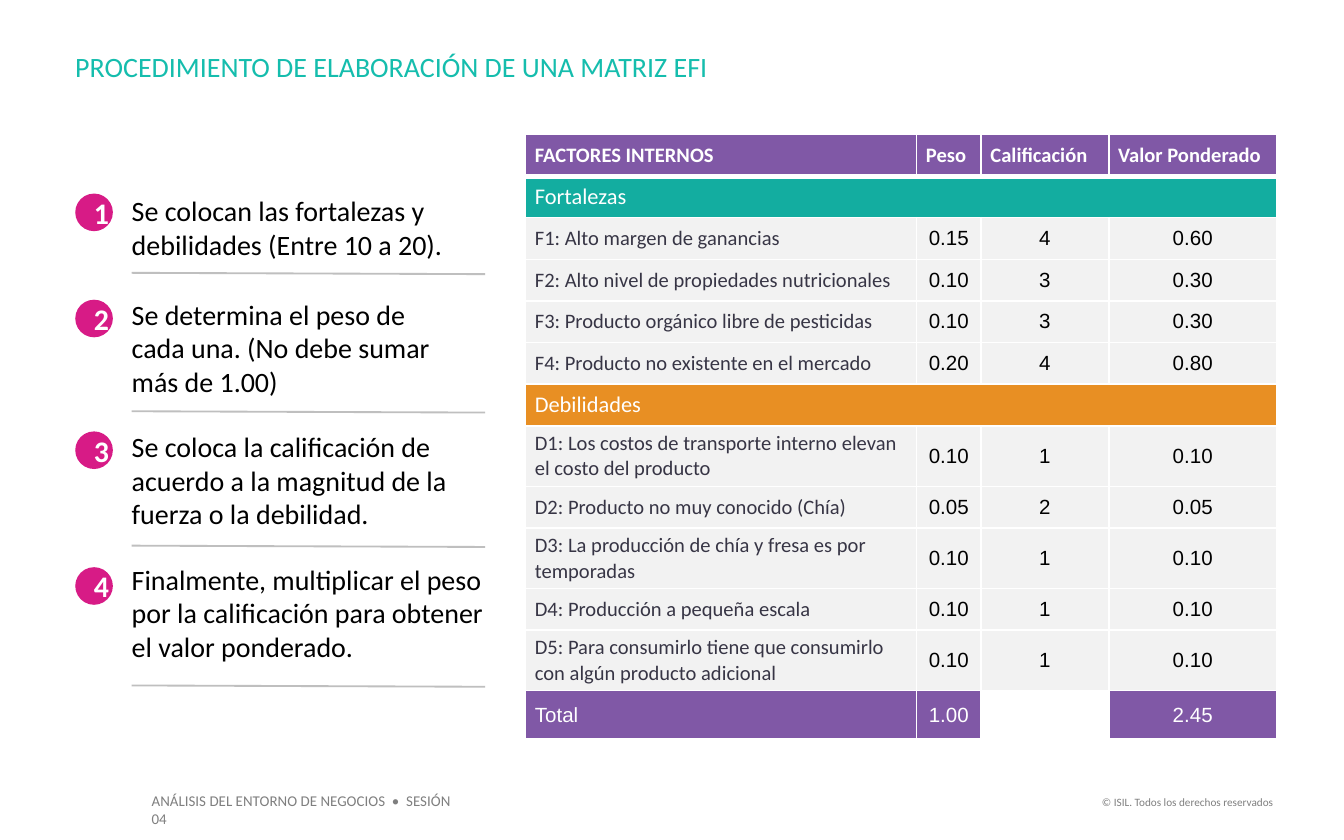
from dataclasses import dataclass
from typing import Any

from lxml.etree import SubElement
from pptx import Presentation
from pptx.dml.color import RGBColor
from pptx.enum.shapes import MSO_CONNECTOR, MSO_SHAPE
from pptx.enum.text import MSO_ANCHOR, MSO_AUTO_SIZE, PP_ALIGN
from pptx.oxml.ns import qn
from pptx.slide import Slide
from pptx.table import _Cell
from pptx.text.text import TextFrame
from pptx.util import Emu, Pt

EMU_PER_PX = 9144  # 100 px to the inch

WHITE, BLACK, SLATE = "FFFFFF", "000000", "373545"
PURPLE, TEAL, ORANGE, PALE = "8058A6", "13ADA0", "E88F23", "F2F2F2"
PINK, RULE_GREY, FOOTER_GREY, TITLE_TEAL = "D71B86", "BFBFBF", "7F7F7F", "15BDAD"


@dataclass(frozen=True)
class Step:
    text: str
    badge_top: int
    rule_top: int
    space_before: float


@dataclass(frozen=True)
class Footer:
    text: str
    box: tuple[int, int, int, int]
    size: int
    align: PP_ALIGN


@dataclass(frozen=True)
class MatrixRow:
    texts: tuple[str, ...]
    fill: str = PALE
    height: int = 31
    merged: bool = False


STEPS = [
    Step("Se colocan las fortalezas y debilidades (Entre 10 a 20).", 144, 203, 0),
    Step("Se determina el peso de\vcada una. (No debe sumar\vmás de 1.00)", 223, 306, 19.5),
    Step("Se coloca la calificación de acuerdo a la magnitud de la fuerza o la debilidad.",
         321, 406, 17),
    Step("Finalmente, multiplicar el peso por la calificación para obtener el valor ponderado.",
         422, 510, 17),
]

FOOTERS = [
    Footer("ANÁLISIS DEL ENTORNO DE NEGOCIOS  •  SESIÓN 04", (103, 584, 256, 24), 8, PP_ALIGN.LEFT),
    Footer("© ISIL. Todos los derechos reservados", (805, 587, 152, 20), 6, PP_ALIGN.RIGHT),
]

COLUMN_WIDTHS = [291, 48, 95, 125]
MATRIX = [
    MatrixRow(("FACTORES INTERNOS", "Peso", "Calificación", "Valor Ponderado"), PURPLE),
    MatrixRow(("Fortalezas",), TEAL, merged=True),
    MatrixRow(("F1: Alto margen de ganancias", "0.15", "4", "0.60")),
    MatrixRow(("F2: Alto nivel de propiedades nutricionales", "0.10", "3", "0.30")),
    MatrixRow(("F3: Producto orgánico libre de pesticidas", "0.10", "3", "0.30")),
    MatrixRow(("F4: Producto no existente en el mercado", "0.20", "4", "0.80")),
    MatrixRow(("Debilidades",), ORANGE, merged=True),
    MatrixRow(("D1: Los costos de transporte interno elevan el costo del producto",
               "0.10", "1", "0.10"), height=45),
    MatrixRow(("D2: Producto no muy conocido (Chía)", "0.05", "2", "0.05")),
    MatrixRow(("D3: La producción de chía y fresa es por temporadas",
               "0.10", "1", "0.10"), height=45),
    MatrixRow(("D4: Producción a pequeña escala", "0.10", "1", "0.10")),
    MatrixRow(("D5: Para consumirlo tiene que consumirlo\vcon algún producto adicional",
               "0.10", "1", "0.10"), height=45),
    MatrixRow(("Total", "1.00", "", "2.45"), PURPLE, height=36),
]


def px(length: int) -> Emu:
    return Emu(length * EMU_PER_PX)


def rgb(color: str) -> RGBColor:
    return RGBColor.from_string(color)


def assign(target: Any, values: dict[str, Any]) -> None:
    for attribute, value in values.items():
        setattr(target, attribute, value)


def write(frame: TextFrame, text: str, size: int, color: str,
          align: PP_ALIGN = PP_ALIGN.LEFT, name: str = "Calibri", bold: bool = False) -> None:
    """Fill the frame with one paragraph per line of text, all in one format."""
    frame.text = text
    for paragraph in frame.paragraphs:
        paragraph.alignment = align
        for run in paragraph.runs:
            assign(run.font, {"size": Pt(size), "name": name, "bold": bold})
            run.font.color.rgb = rgb(color)


def fit_placeholder(placeholder: Any, box: tuple[int, int, int, int]) -> TextFrame:
    """Move a placeholder and strip its insets and autofit."""
    left, top, width, height = map(px, box)
    assign(placeholder, {"left": left, "top": top, "width": width, "height": height})
    frame = placeholder.text_frame
    assign(frame, {"margin_left": 0, "margin_right": 0, "margin_top": 0, "margin_bottom": 0,
                   "word_wrap": True, "auto_size": MSO_AUTO_SIZE.NONE,
                   "vertical_anchor": MSO_ANCHOR.TOP})
    return frame


def add_footer(slide: Slide, footer: Footer) -> None:
    frame = slide.shapes.add_textbox(*map(px, footer.box)).text_frame
    frame.word_wrap = True
    write(frame, footer.text, footer.size, FOOTER_GREY, footer.align)


def add_badge(slide: Slide, number: int, top: int) -> None:
    badge = slide.shapes.add_shape(MSO_SHAPE.OVAL, px(56), px(top), px(28), px(28))
    badge.shadow.inherit = False
    badge.fill.solid()
    badge.fill.fore_color.rgb = rgb(PINK)
    badge.line.fill.background()
    write(badge.text_frame, str(number), 16, WHITE, PP_ALIGN.CENTER, bold=True)


def add_rule(slide: Slide, top: int) -> None:
    rule = slide.shapes.add_connector(MSO_CONNECTOR.STRAIGHT, px(98), px(top), px(361), px(top + 1))
    rule.line.width = Pt(1)
    rule.line.color.rgb = rgb(RULE_GREY)
    SubElement(rule._element.spPr, qn("a:effectLst"))


def add_steps(slide: Slide) -> None:
    frame = fit_placeholder(slide.placeholders[1], (98, 144, 263, 356))
    write(frame, "\n".join(step.text for step in STEPS), 15, BLACK)
    for number, (step, paragraph) in enumerate(zip(STEPS, frame.paragraphs), start=1):
        properties = paragraph._p.get_or_add_pPr()
        properties.set("marL", "0")
        properties.set("indent", "0")
        SubElement(properties, qn("a:buNone"))
        paragraph.space_before = Pt(step.space_before)
        add_badge(slide, number, step.badge_top)
        add_rule(slide, step.rule_top)


def style_cell(cell: _Cell, fill: str, top: int, bottom: int) -> None:
    """Give the cell white borders, of the given top and bottom points, and a fill."""
    assign(cell, {"margin_left": px(7), "margin_right": px(7), "margin_top": px(3),
                  "margin_bottom": px(3), "vertical_anchor": MSO_ANCHOR.MIDDLE})
    properties = cell._tc.get_or_add_tcPr()
    for side, width in {"lnL": 1, "lnR": 1, "lnT": top, "lnB": bottom}.items():
        border = SubElement(properties, qn(f"a:{side}"), w=str(Pt(width)))
        SubElement(SubElement(border, qn("a:solidFill")), qn("a:srgbClr"), val=WHITE)
    cell.fill.solid()
    cell.fill.fore_color.rgb = rgb(fill)


def text_format(row: MatrixRow, row_index: int, column: int) -> dict[str, Any]:
    if row_index == 0:
        return {"size": 11, "color": WHITE, "bold": True}
    if row.merged:
        return {"size": 12, "color": WHITE}
    total = row.fill == PURPLE
    return {"size": 11,
            "color": WHITE if total else BLACK if column else SLATE,
            "name": "Arial" if total or column else "Calibri",
            "align": PP_ALIGN.CENTER if column else PP_ALIGN.LEFT}


def add_matrix(slide: Slide) -> None:
    table = slide.shapes.add_table(
        len(MATRIX), len(COLUMN_WIDTHS), px(391), px(100),
        px(sum(COLUMN_WIDTHS)), px(sum(row.height for row in MATRIX))).table
    table.horz_banding = False
    for column, width in zip(table.columns, COLUMN_WIDTHS):
        column.width = px(width)
    for row_index, row in enumerate(MATRIX):
        table.rows[row_index].height = px(row.height)
        cells = list(table.rows[row_index].cells)
        for cell in cells:
            style_cell(cell, row.fill, 3 if row_index == 1 else 1, 3 if row_index == 0 else 1)
        if row.merged:
            cells[0].merge(cells[-1])
        for column, text in enumerate(row.texts):
            if text:
                write(cells[column].text_frame, text, **text_format(row, row_index, column))
            else:
                cells[column].fill.fore_color.rgb = rgb(WHITE)


def main() -> None:
    presentation = Presentation()
    assign(presentation, {"slide_width": px(1000), "slide_height": px(625)})
    slide = presentation.slides.add_slide(presentation.slide_layouts[1])
    for footer in FOOTERS:
        add_footer(slide, footer)
    title = fit_placeholder(slide.shapes.title, (56, 37, 540, 25))
    write(title, "PROCEDIMIENTO DE ELABORACIÓN DE UNA MATRIZ EFI", 15, TITLE_TEAL)
    add_matrix(slide)
    add_steps(slide)
    presentation.save("out.pptx")


if __name__ == "__main__":
    main()
